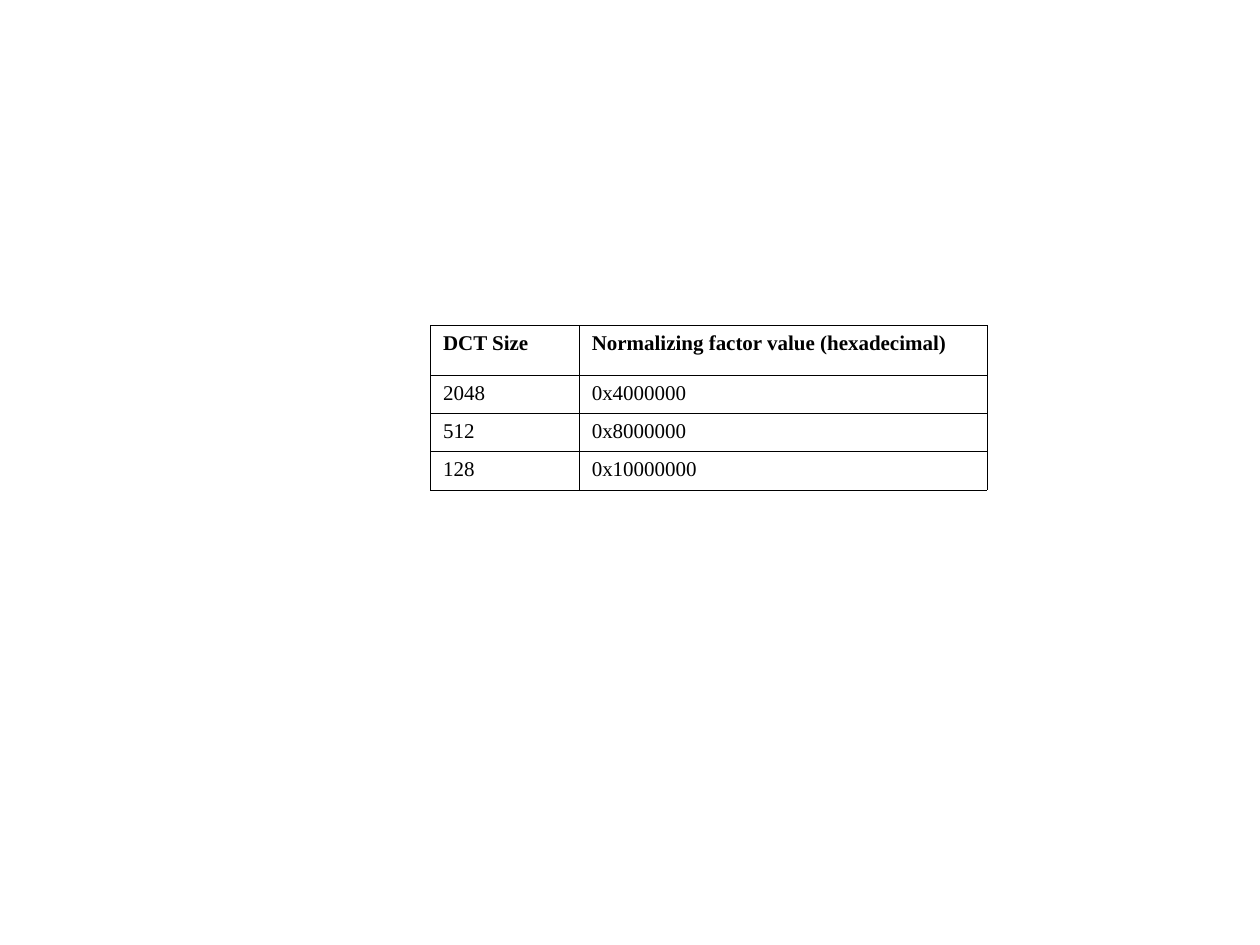
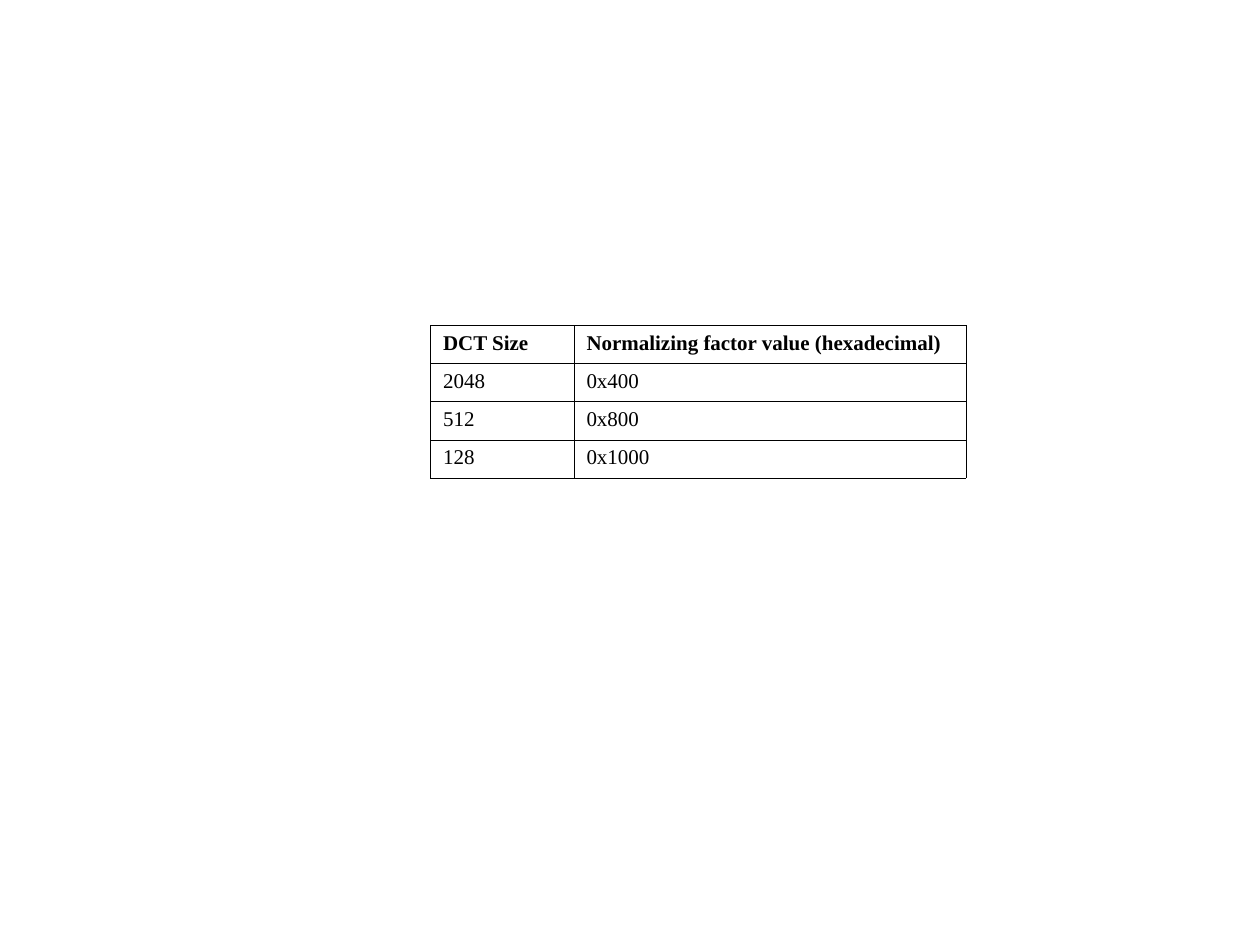
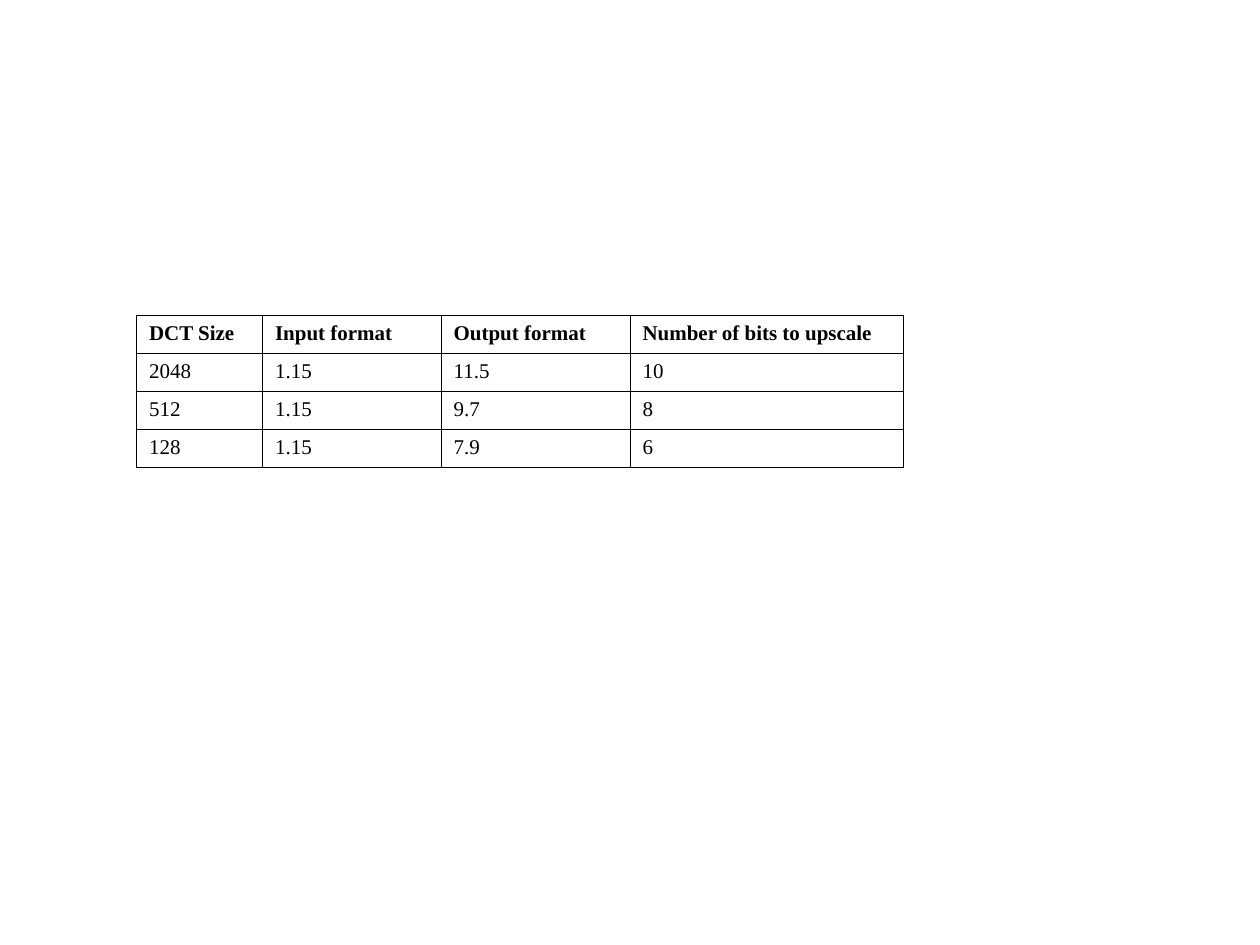
from dataclasses import dataclass

from lxml import etree
from pptx import Presentation
from pptx.dml.color import RGBColor
from pptx.oxml import ns
from pptx.util import Pt


@dataclass(frozen=True)
class Theme:
    font: str = "Times New Roman"
    ink: str = "000000"
    text_size: float = 12
    border_width: float = 0.45
    row_height: float = 21.8
    inset_x: float = 7.2
    inset_y: float = 3.6


THEME = Theme()
BLANK_LAYOUT = 6
DCT_SIZES = ("2048", "512", "128")
FACTOR_HEADER = ("DCT Size", "Normalizing factor value (hexadecimal)")
FORMAT_HEADER = ("DCT Size", "Input format", "Output format", "Number of bits to upscale")


def draw_borders(cell):
    properties = cell._tc.get_or_add_tcPr()
    for position, side in enumerate(("lnL", "lnR", "lnT", "lnB")):
        line = etree.Element(ns.qn(f"a:{side}"), w=str(Pt(THEME.border_width)))
        fill = etree.SubElement(line, ns.qn("a:solidFill"))
        etree.SubElement(fill, ns.qn("a:srgbClr"), val=THEME.ink)
        properties.insert(position, line)


def fill_cell(cell, content, bold):
    cell.margin_left = cell.margin_right = Pt(THEME.inset_x)
    cell.margin_top = cell.margin_bottom = Pt(THEME.inset_y)
    cell.fill.background()
    draw_borders(cell)
    cell.text_frame.text = content
    font = cell.text_frame.paragraphs[0].runs[0].font
    font.name = THEME.font
    font.size = Pt(THEME.text_size)
    font.bold = bold
    font.color.rgb = RGBColor.from_string(THEME.ink)


def add_table_slide(presentation, left, top, column_widths, rows,
                    header_height=THEME.row_height):
    slide = presentation.slides.add_slide(presentation.slide_layouts[BLANK_LAYOUT])
    row_heights = [header_height] + [THEME.row_height] * (len(rows) - 1)
    table = slide.shapes.add_table(
        len(rows), len(column_widths), Pt(left), Pt(top),
        Pt(sum(column_widths)), Pt(sum(row_heights))).table
    table.horz_banding = False
    for column, width in zip(table.columns, column_widths):
        column.width = Pt(width)
    for row, height in zip(table.rows, row_heights):
        row.height = Pt(height)
    for row_index, contents in enumerate(rows):
        for column_index, content in enumerate(contents):
            fill_cell(table.cell(row_index, column_index), content, bold=row_index == 0)


def main():
    presentation = Presentation()
    presentation.slide_width = Pt(720)
    presentation.slide_height = Pt(540)

    long_factors = ("0x4000000", "0x8000000", "0x10000000")
    add_table_slide(presentation, 246, 186, (85, 233),
                    [FACTOR_HEADER, *zip(DCT_SIZES, long_factors)], header_height=28.6)

    short_factors = ("0x400", "0x800", "0x1000")
    add_table_slide(presentation, 246, 186, (82, 224),
                    [FACTOR_HEADER, *zip(DCT_SIZES, short_factors)])

    input_formats = ("1.15",) * len(DCT_SIZES)
    output_formats = ("11.5", "9.7", "7.9")
    upscale_bits = ("10", "8", "6")
    add_table_slide(presentation, 78, 180, (72, 102, 108, 156),
                    [FORMAT_HEADER,
                     *zip(DCT_SIZES, input_formats, output_formats, upscale_bits)])

    presentation.save("out.pptx")


if __name__ == "__main__":
    main()
